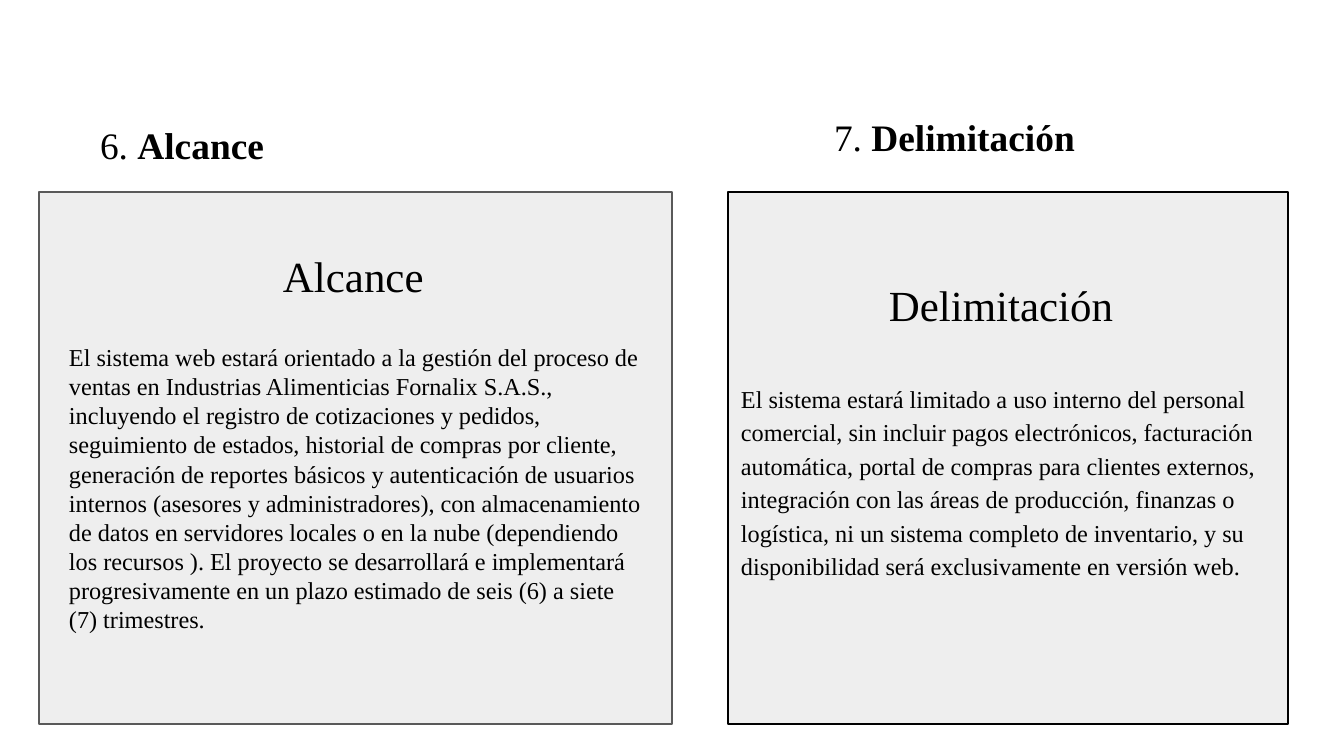
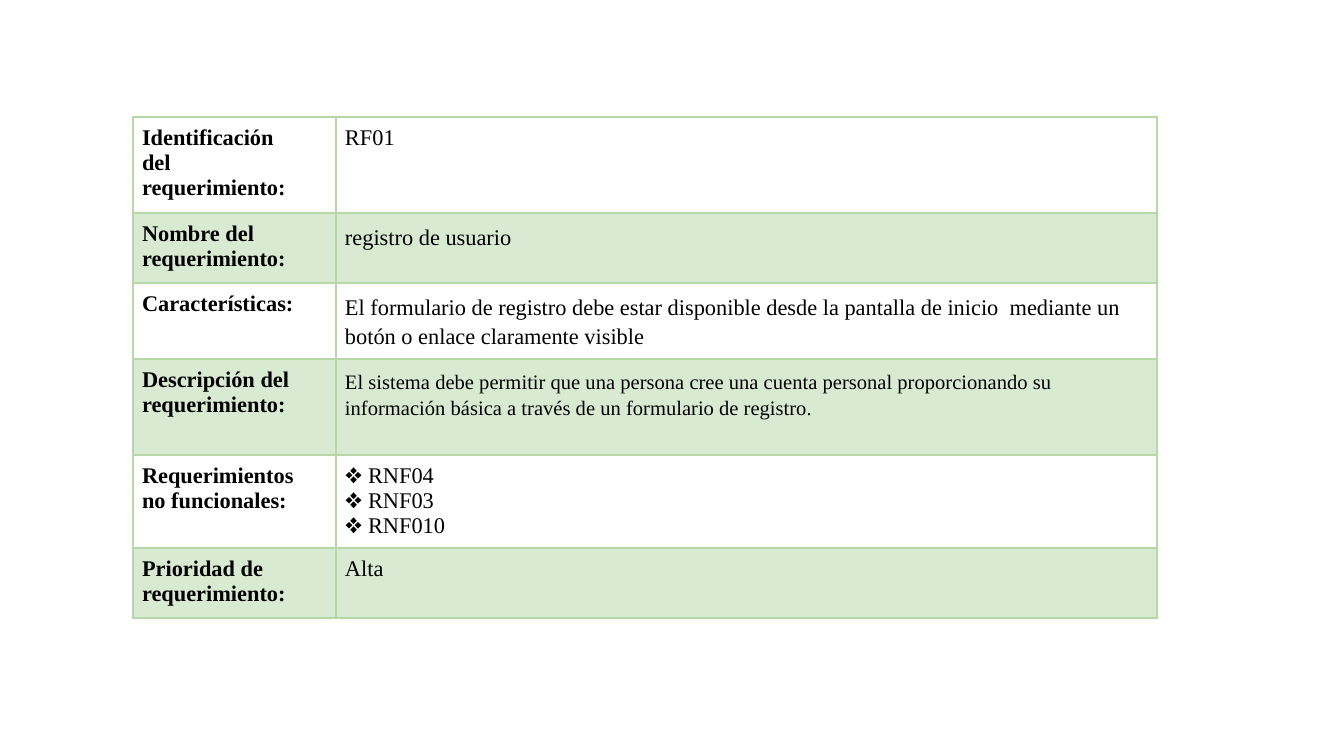
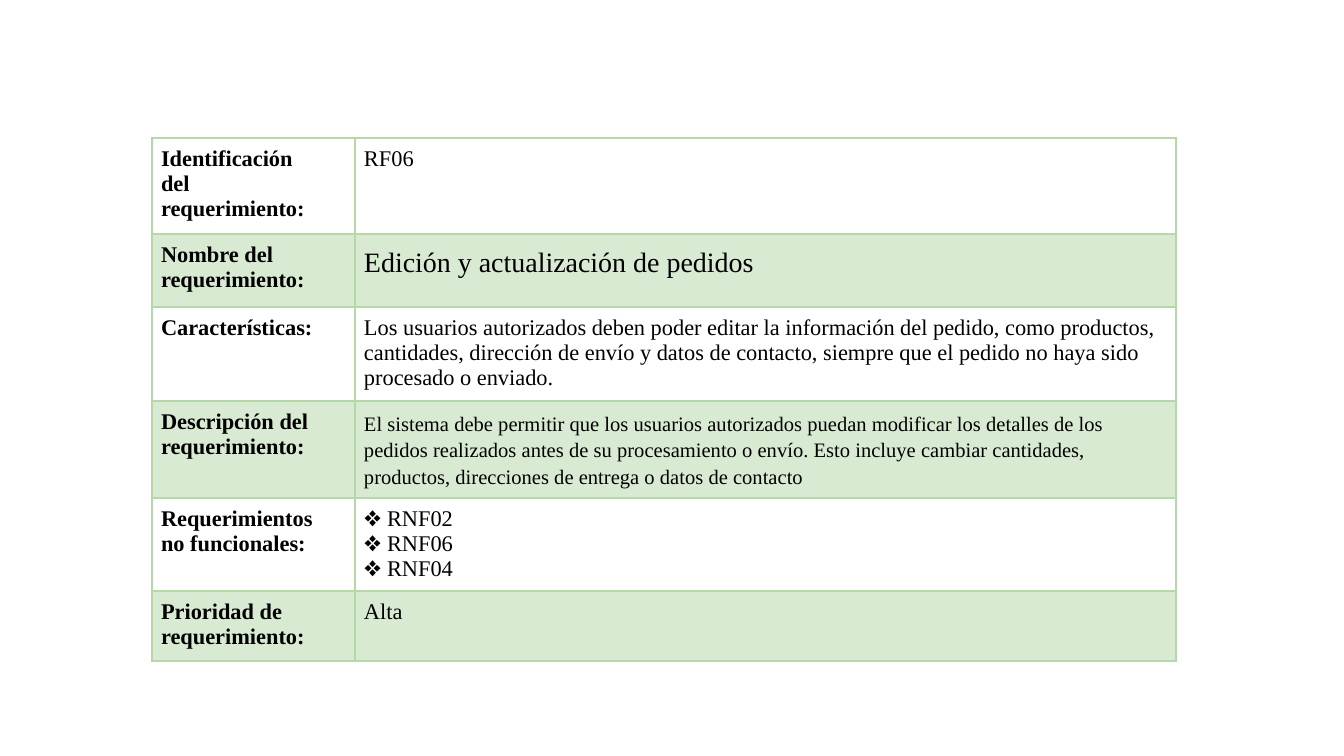
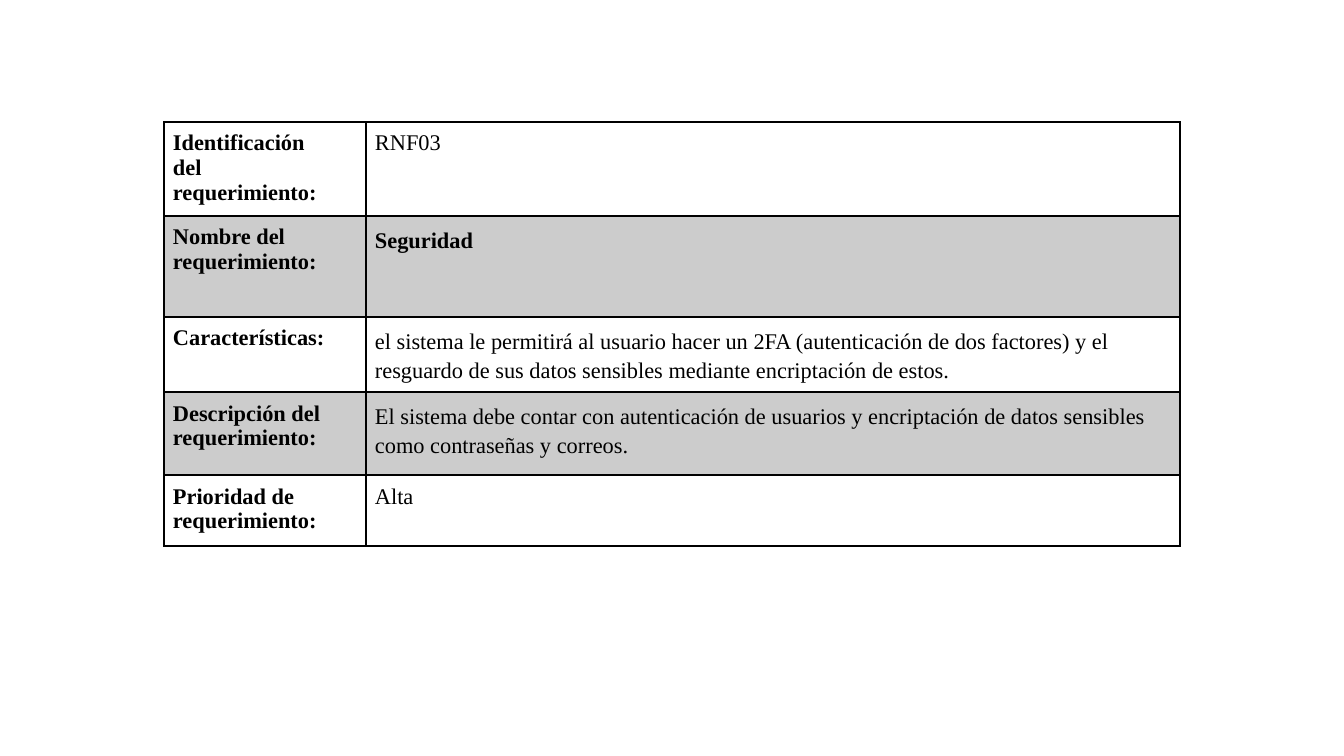
from lxml import etree
from pptx import Presentation
from pptx.dml.color import RGBColor
from pptx.enum.shapes import MSO_SHAPE
from pptx.enum.text import MSO_ANCHOR as ANCHOR, MSO_AUTO_SIZE as FIT, PP_ALIGN as ALIGN
from pptx.oxml.ns import qn
from pptx.util import Emu, Pt

EMU_PER_PX = 914400 / 134.4
FONT = "Times New Roman"
COLORS = {
    "ink": "000000",
    "panel": "EEEEEE",
    "soft_border": "595959",
    "green_border": "B6D7A8",
    "green_band": "D9EAD3",
    "gray_band": "CCCCCC",
}
INSET = 13
CELL_INSET = 9
COMPARISON, BLANK = 4, 6

LABELS = {
    "id": "Identificación\ndel\nrequerimiento:",
    "name": "Nombre del\nrequerimiento:",
    "features": "Características:",
    "description": "Descripción del\nrequerimiento:",
    "related": "Requerimientos\nno funcionales:",
    "priority": "Prioridad de\nrequerimiento:",
}

SCOPE = (
    "El sistema web estará orientado a la gestión del proceso de ventas en Industrias "
    "Alimenticias Fornalix S.A.S., incluyendo el registro de cotizaciones y pedidos, "
    "seguimiento de estados, historial de compras por cliente, generación de reportes "
    "básicos y autenticación de usuarios internos (asesores y administradores), con "
    "almacenamiento de datos en servidores locales o en la nube (dependiendo los "
    "recursos ). El proyecto se desarrollará e implementará progresivamente en un plazo "
    "estimado de seis (6) a siete (7) trimestres."
)
LIMITS = (
    "El sistema estará limitado a uso interno del personal comercial, sin incluir pagos "
    "electrónicos, facturación automática, portal de compras para clientes externos, "
    "integración con las áreas de producción, finanzas o logística, ni un sistema "
    "completo de inventario, y su disponibilidad será exclusivamente en versión web."
)

REGISTRATION = [
    ("id", 96, "RF01", {}),
    ("name", 70, "registro de usuario", {"spacing": 1.15}),
    ("features", 76, "El formulario de registro debe estar disponible desde la pantalla "
     "de inicio  mediante un botón o enlace claramente visible", {"spacing": 1.15}),
    ("description", 96, "El sistema debe permitir que una persona cree una cuenta personal "
     "proporcionando su información básica a través de un formulario de registro.",
     {"size": 11, "spacing": 1.15}),
    ("related", 93, "❖ RNF04\n❖ RNF03\n❖ RNF010", {}),
    ("priority", 70, "Alta", {}),
]
ORDER_EDITING = [
    ("id", 96, "RF06", {}),
    ("name", 73, "Edición y actualización de pedidos", {"size": 15, "spacing": 1.15}),
    ("features", 94, "Los usuarios autorizados deben poder editar la información del pedido, "
     "como productos, cantidades, dirección de envío y datos de contacto, siempre que el "
     "pedido no haya sido procesado o enviado.", {}),
    ("description", 97, "El sistema debe permitir que los usuarios autorizados puedan "
     "modificar los detalles de los pedidos realizados antes de su procesamiento o envío. "
     "Esto incluye cambiar cantidades, productos, direcciones de entrega o datos de contacto",
     {"size": 11, "spacing": 1.15}),
    ("related", 93, "❖ RNF02\n❖ RNF06\n❖ RNF04", {}),
    ("priority", 70, "Alta", {}),
]
SECURITY = [
    ("id", 94, "RNF03", {}),
    ("name", 101, "Seguridad", {"bold": True, "spacing": 1.15}),
    ("features", 75, "el sistema le permitirá al usuario hacer un 2FA (autenticación de dos "
     "factores) y el resguardo de sus datos sensibles mediante encriptación de estos.",
     {"spacing": 1.15}),
    ("description", 83, "El sistema debe contar con autenticación de usuarios y encriptación "
     "de datos sensibles como contraseñas y correos.", {"spacing": 1.15}),
    ("priority", 71, "Alta", {}),
]


def px(length):
    """Convert px to EMU."""
    return Emu(round(length * EMU_PER_PX))


def rgb(name):
    """Return the named palette colour."""
    return RGBColor.from_string(COLORS[name])


def write(frame, text, lead="", size=12, bold=False, spacing=1.0):
    """Write one paragraph per line, after an optional regular lead."""
    for index, line in enumerate(text.split("\n")):
        paragraph = frame.add_paragraph() if index else frame.paragraphs[0]
        paragraph.alignment = ALIGN.LEFT
        paragraph.line_spacing = spacing
        paragraph.space_before = Pt(0)
        for words, weight in ((lead, False), (line, bold)):
            if words:
                run = paragraph.add_run()
                run.text = words
                run.font.name = FONT
                run.font.size = Pt(size)
                run.font.bold = weight
                run.font.color.rgb = rgb("ink")


def write_box(shape, text, anchor=ANCHOR.TOP, top_inset=INSET, **style):
    """Set up the text frame of a shape and write into it."""
    frame = shape.text_frame
    frame.word_wrap = True
    frame.auto_size = FIT.NONE
    frame.vertical_anchor = anchor
    frame.margin_left = frame.margin_right = frame.margin_bottom = px(INSET)
    frame.margin_top = px(top_inset)
    write(frame, text, **style)


def add_text(slide, box, text, **style):
    """Add a text box."""
    write_box(slide.shapes.add_textbox(*map(px, box)), text, **style)


def section_title(placeholder, box, number, text):
    """Place a numbered section title in a placeholder."""
    placeholder.left, placeholder.top, placeholder.width, placeholder.height = map(px, box)
    write_box(placeholder, text, lead=f"{number}. ", size=20, bold=True)


def panel(slide, box, border):
    """Draw a gray panel."""
    background = slide.shapes.add_shape(MSO_SHAPE.RECTANGLE, *map(px, box))
    background.shadow.inherit = False
    background.fill.solid()
    background.fill.fore_color.rgb = rgb("panel")
    background.line.color.rgb = rgb(border)
    background.line.width = Pt(0.75)
    return background


def scope_panel(slide, box):
    """Draw the scope panel with its heading and statement."""
    left, top = box[:2]
    panel(slide, box, "soft_border")
    add_text(slide, (left + 231, top + 45, 171, 79), "Alcance", size=23)
    add_text(slide, (left + 17, top + 143, 597, 306), SCOPE, size=13, anchor=ANCHOR.MIDDLE)


def limits_panel(slide, box):
    """Draw the limits panel with its heading and statement."""
    left, top = box[:2]
    write_box(panel(slide, box, "ink"), LIMITS, size=13, spacing=1.15,
              anchor=ANCHOR.MIDDLE, top_inset=57)
    add_text(slide, (left + 148, top + 74, 254, 79), "Delimitación", size=23)


def scope_slide(deck):
    """Add the slide that sets scope beside limits."""
    slide = deck.slides.add_slide(deck.slide_layouts[COMPARISON])
    scope_title, limits_title, *unused = slide.placeholders
    section_title(scope_title, (87, 109, 1253, 84), 6, "Alcance")
    section_title(limits_title, (821, 101, 297, 84), 7, "Delimitación")
    for placeholder in unused:
        placeholder.element.getparent().remove(placeholder.element)
    scope_panel(slide, (39, 192, 633, 532))
    limits_panel(slide, (728, 192, 560, 532))


def set_borders(cell, color):
    """Give a cell a one point line on every side."""
    properties = cell._tc.get_or_add_tcPr()
    for index, side in enumerate(("lnL", "lnR", "lnT", "lnB")):
        line = etree.Element(qn(f"a:{side}"), w=str(Pt(1)))
        solid = etree.SubElement(line, qn("a:solidFill"))
        etree.SubElement(solid, qn("a:srgbClr"), val=COLORS[color])
        properties.insert(index, line)


def fill_cell(cell, text, band, border, **style):
    """Write and format one table cell."""
    cell.margin_left = cell.margin_right = px(CELL_INSET)
    cell.margin_top = cell.margin_bottom = px(CELL_INSET)
    if band:
        cell.fill.solid()
        cell.fill.fore_color.rgb = rgb(band)
    else:
        cell.fill.background()
    set_borders(cell, border)
    write(cell.text_frame, text, **style)


def requirement_slide(deck, requirement, origin, columns, band, border):
    """Add a slide with the table of one requirement."""
    slide = deck.slides.add_slide(deck.slide_layouts[BLANK])
    size = sum(columns), sum(height for _, height, _, _ in requirement)
    table = slide.shapes.add_table(
        len(requirement), len(columns), *map(px, origin + size)).table
    table.first_row = table.horz_banding = False
    for column, width in zip(table.columns, columns):
        column.width = px(width)
    for index, (label, height, value, style) in enumerate(requirement):
        table.rows[index].height = px(height)
        row_band = band if index % 2 else None
        fill_cell(table.cell(index, 0), LABELS[label], row_band, border, bold=True)
        fill_cell(table.cell(index, 1), value, row_band, border, **style)


def main():
    """Build and save the deck."""
    deck = Presentation()
    deck.slide_width, deck.slide_height = px(1344), px(756)
    scope_slide(deck)
    green = {"columns": (203, 821), "band": "green_band", "border": "green_border"}
    requirement_slide(deck, REGISTRATION, (133, 117), **green)
    requirement_slide(deck, ORDER_EDITING, (152, 138), **green)
    requirement_slide(deck, SECURITY, (164, 122), (202, 814), "gray_band", "ink")
    deck.save("out.pptx")


if __name__ == "__main__":
    main()
